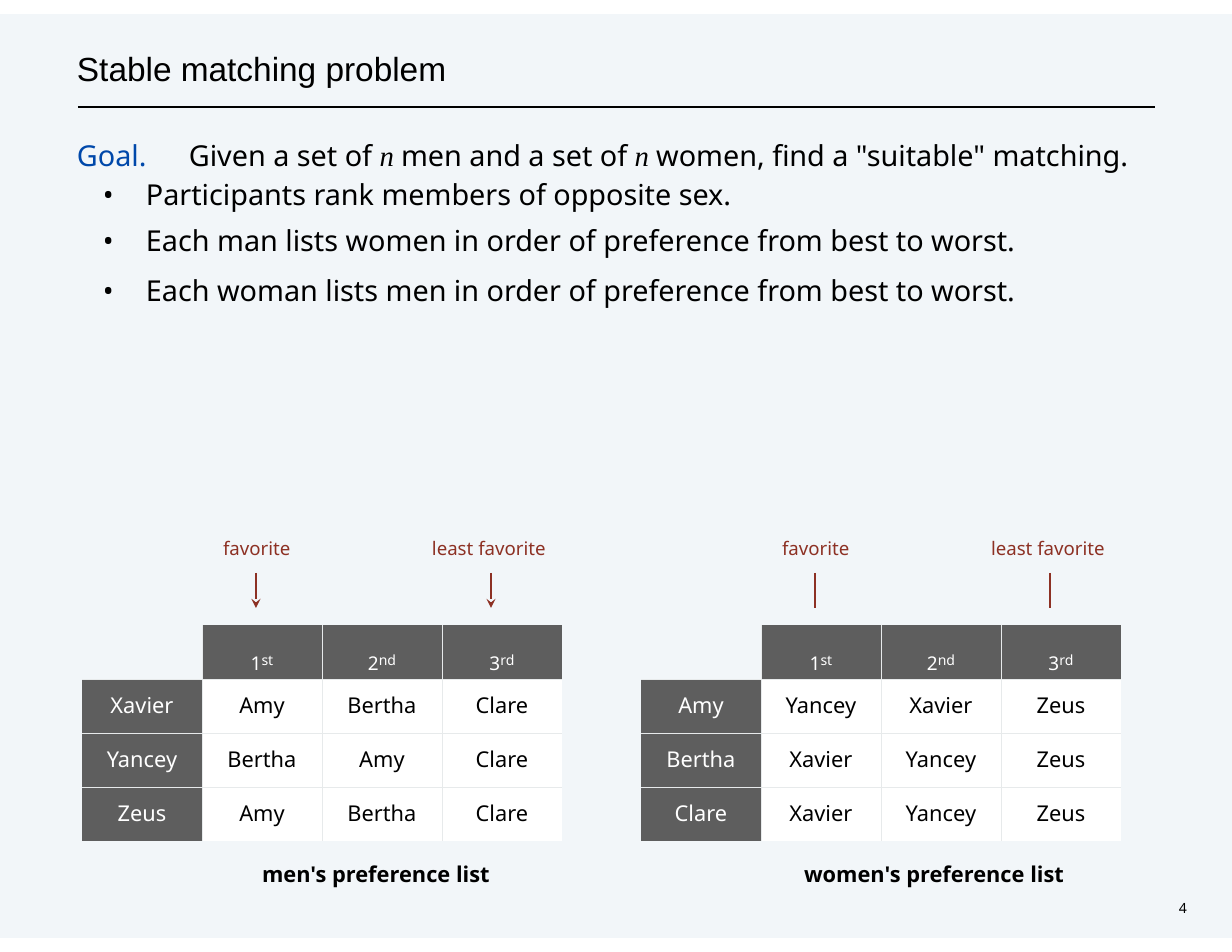
from lxml import etree
from pptx import Presentation
from pptx.dml.color import RGBColor
from pptx.enum.shapes import MSO_CONNECTOR, MSO_SHAPE
from pptx.enum.text import MSO_ANCHOR, MSO_AUTO_SIZE, PP_ALIGN
from pptx.oxml.ns import qn
from pptx.util import Pt

LEFT, CENTER = PP_ALIGN.LEFT, PP_ALIGN.CENTER
TOP, FIXED = MSO_ANCHOR.TOP, MSO_AUTO_SIZE.NONE
RECT, LINE = MSO_SHAPE.RECTANGLE, MSO_CONNECTOR.STRAIGHT
SCALE = 914400 / 112
SANS, ARIAL, TIMES = "Noto Sans", "Arial", "Times New Roman"
BLACK, WHITE, GRAY = "000000", "FFFFFF", "5E5E5E"
RED, BLUE, PALE, EDGE = "8D3124", "0048AA", "F2F6F9", "E7EAEB"
PLAIN = "{2D5ABB26-0587-4C30-8999-92F81FD0307C}"

MEN = [["", "1st", "2nd", "3rd"],
       ["Xavier", "Amy", "Bertha", "Clare"],
       ["Yancey", "Bertha", "Amy", "Clare"],
       ["Zeus", "Amy", "Bertha", "Clare"]]
WOMEN = [["", "1st", "2nd", "3rd"],
         ["Amy", "Yancey", "Xavier", "Zeus"],
         ["Bertha", "Xavier", "Yancey", "Zeus"],
         ["Clare", "Xavier", "Yancey", "Zeus"]]
BULLETS = [("Participants rank members of opposite sex.", 25),
           ("Each man lists women in order of preference from best to worst.", 29.5),
           ("Each woman lists men in order of preference from best to worst.", 32.3)]


def px(num):
    """Turn pixels into EMU."""
    return round(num * SCALE)


def paint(color, hue):
    """Set a colour from a hex string."""
    color.rgb = RGBColor.from_string(hue)


def add(parent, tag, **attrs):
    """Append a drawing element with its attributes."""
    return etree.SubElement(parent, qn(tag), {k: str(v) for k, v in attrs.items()})


def write(para, text, size, hue=BLACK, font=SANS, base=0, **style):
    """Add one formatted run to a paragraph."""
    run = para.add_run()
    run.text = text
    for key, val in {"size": Pt(size), "name": font, **style}.items():
        setattr(run.font, key, val)
    paint(run.font.color, hue)
    if base:
        run.font._element.set("baseline", str(base))


def fit(frame, left=0, top=1):
    """Give a text frame fixed size, top anchor and small insets."""
    style = {"word_wrap": True, "auto_size": FIXED, "vertical_anchor": TOP,
             "margin_left": px(left), "margin_top": px(top),
             "margin_right": 0, "margin_bottom": 0}
    for key, val in style.items():
        setattr(frame, key, val)


def label(slide, box, text, size, gap=1, left=1, top=1, **style):
    """Place a one-line text box."""
    frame = slide.shapes.add_textbox(*map(px, box)).text_frame
    fit(frame, left, top)
    para = frame.paragraphs[0]
    para.space_before = Pt(gap)
    write(para, text, size, **style)


def line(slide, ends, hue, width, head=False):
    """Draw a straight line, with an arrowhead if asked."""
    rule = slide.shapes.add_connector(LINE, *map(px, ends))
    paint(rule.line.color, hue)
    rule.line.width = Pt(width)
    if head:
        add(rule.line._get_or_add_ln(), "a:tailEnd", type="stealth", w="med", len="med")
    add(rule._element.spPr, "a:effectLst")


def frame_page(slide):
    """Place the tinted page, the title and its rule, and the page number."""
    page = slide.shapes.add_shape(RECT, *map(px, (0, 14, 1232, 924)))
    page.shadow.inherit = False
    page.fill.solid()
    paint(page.fill.fore_color, PALE)
    page.line.fill.background()
    tree = slide.shapes._spTree
    tree.remove(page._element)
    tree.insert(2, page._element)
    line(slide, (78, 107, 1155, 107), BLACK, 0.77)
    title = slide.shapes.title
    for key, val in zip(("left", "top", "width", "height"), (75, 46, 692, 44)):
        setattr(title, key, px(val))
    fit(title.text_frame, 2, 2)
    para = title.text_frame.paragraphs[0]
    para.alignment = LEFT
    para.space_before = Pt(1.1)
    write(para, "Stable matching problem", 21.5, font=ARIAL)
    label(slide, (1170, 899, 29, 20), "4", 9, left=9)


def goal(slide, box):
    """Place the goal and its bullets."""
    frame = slide.shapes.add_textbox(*map(px, box)).text_frame
    fit(frame)
    para = frame.paragraphs[0]
    para.line_spacing, para.space_before = Pt(20.3), Pt(1.1)
    props = para._p.get_or_add_pPr()
    props.set("marL", str(px(6)))
    props.set("indent", "0")
    add(add(props, "a:tabLst"), "a:tab", pos=px(96), algn="l")
    write(para, "Goal.\t", 18.5, BLUE)
    for text, math in (("Given a set of ", False), ("n ", True),
                       ("men and a set of ", False), ("n ", True),
                       ('women, find a "suitable" matching.', False)):
        write(para, text, 18.5, font=TIMES if math else SANS, italic=math)
    for text, pitch in BULLETS:
        para = frame.add_paragraph()
        para.line_spacing = Pt(pitch)
        props = para._p.get_or_add_pPr()
        props.set("marL", str(px(75)))
        props.set("indent", str(px(-43)))
        add(props, "a:buFont", typeface=SANS)
        add(props, "a:buChar", char="•")
        write(para, text, 18.5)


def edge(cell, sides):
    """Draw thin borders on the given sides of a cell."""
    props = cell._tc.get_or_add_tcPr()
    for side in sides:
        rim = add(props, "a:ln" + side, w=Pt(0.25))
        add(add(rim, "a:solidFill"), "a:srgbClr", val=EDGE)


def grid(slide, box, rows):
    """Place a preference table with dark header row and column."""
    table = slide.shapes.add_table(4, 4, *map(px, box)).table
    table.first_row = table.horz_banding = False
    table._tbl.tblPr.find(qn("a:tableStyleId")).text = PLAIN
    for r, row in enumerate(rows):
        for c, text in enumerate(row):
            cell = table.cell(r, c)
            inner = {"L": c > 0, "R": c < 3, "T": r > 0, "B": r < 3}
            edge(cell, [side for side, on in inner.items() if on])
            cell.margin_left = cell.margin_right = cell.margin_bottom = 0
            cell.margin_top = px(11 if r else 6)
            if not text:
                cell.fill.background()
                continue
            dark = r == 0 or c == 0
            cell.fill.solid()
            paint(cell.fill.fore_color, GRAY if dark else WHITE)
            para = cell.text_frame.paragraphs[0]
            para.alignment = CENTER
            para.space_before = Pt(7 if r else 3.3)
            if r:
                write(para, text, 14, WHITE if dark else BLACK)
            else:
                write(para, text[0], 21, WHITE, base=-14000)
                write(para, text[1:], 9, WHITE)


def panel(slide, left, top, rows, name, width, head):
    """Place one preference list with its markers and caption."""
    for text, near, wide, stem in (("favorite", 140, 75, 174),
                                   ("least favorite", 349, 125, 409)):
        label(slide, (left + near, top, wide, 26), text, 12, 1.4, top=2, hue=RED)
        x = left + stem
        line(slide, (x, top + 38, x, top + 73), RED, 1.55, head)
    grid(slide, (left, top + 90, 480, 216), rows)
    label(slide, (left + 297 - width // 2, top + 325, width, 29), name, 14, bold=True)


def main():
    """Build and save the slide."""
    deck = Presentation()
    deck.slide_width, deck.slide_height = px(1232), px(952)
    slide = deck.slides.add_slide(deck.slide_layouts[5])
    frame_page(slide)
    goal(slide, (71, 140, 1088, 178))
    panel(slide, 82, 535, MEN, "men's preference list", 237, True)
    panel(slide, 641, 535, WOMEN, "women's preference list", 270, False)
    deck.save("out.pptx")


if __name__ == "__main__":
    main()
